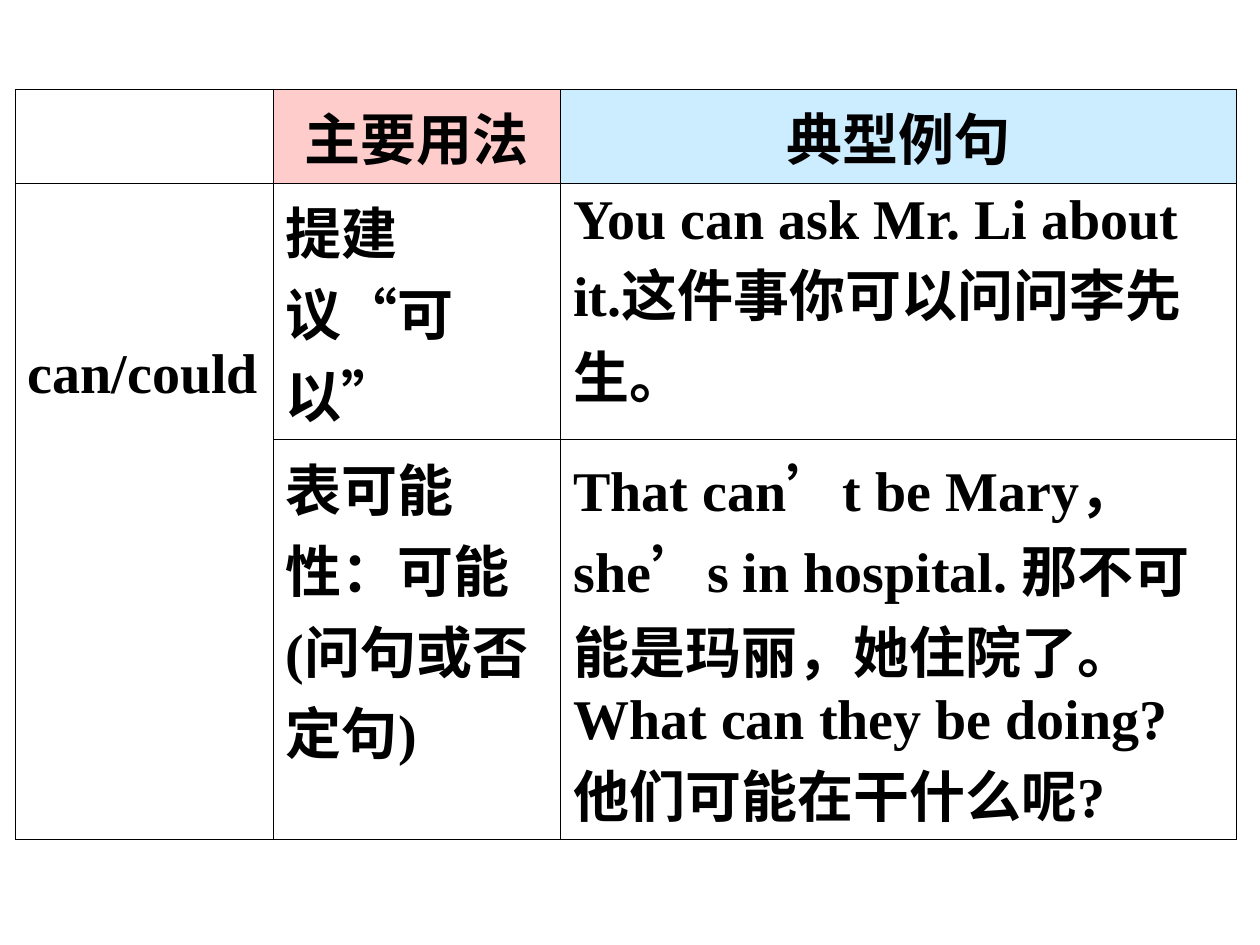
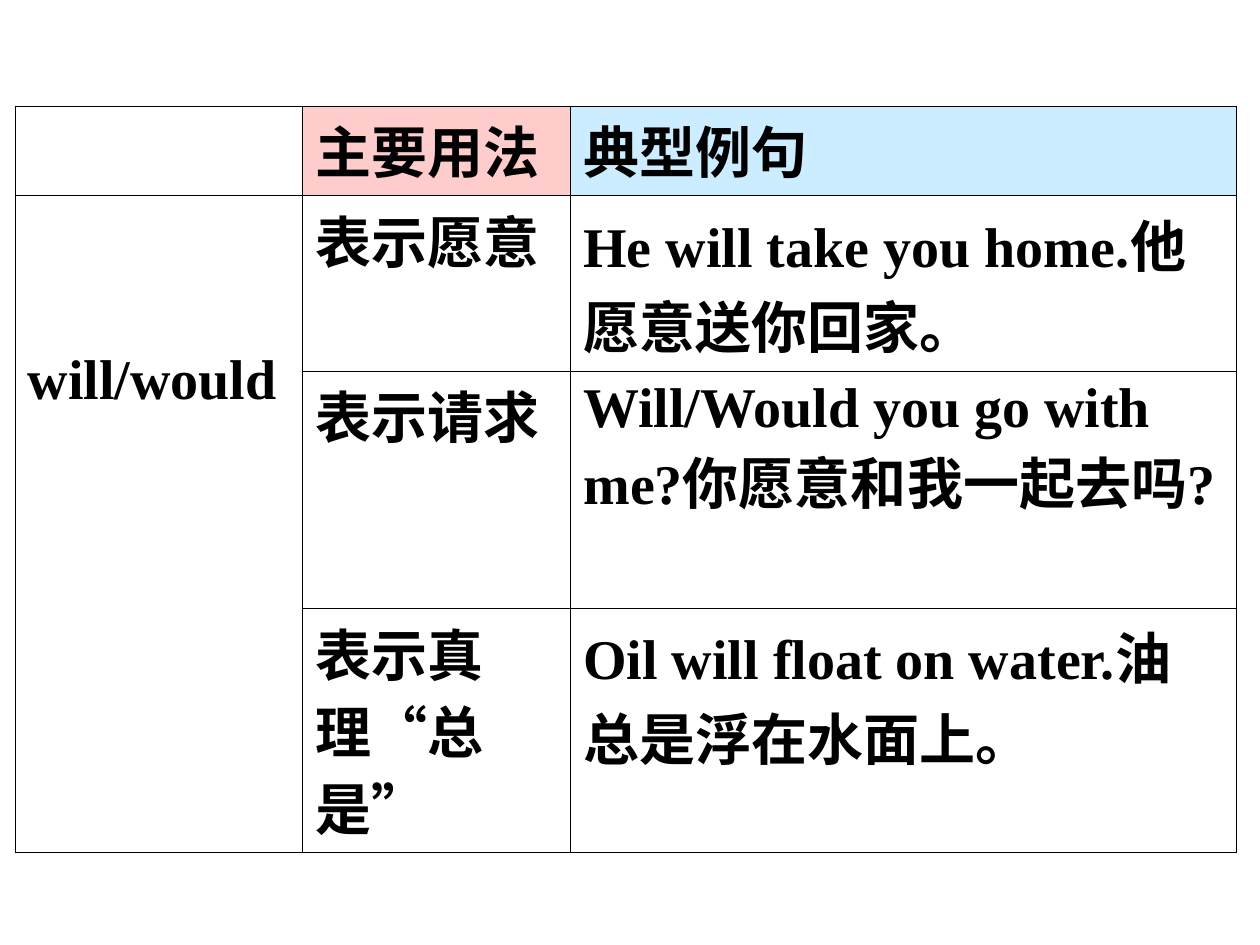
from dataclasses import dataclass

from lxml.etree import SubElement
from pptx import Presentation
from pptx.dml.color import RGBColor as Color
from pptx.enum.text import PP_ALIGN as Align
from pptx.oxml.ns import qn
from pptx.util import Inches, Pt


@dataclass(frozen=True)
class Theme:
    font: str = "Times New Roman"
    text_size: int = 32
    text: str = "000000"
    border: str = "000000"
    border_width: float = 0.45
    usage_fill: str = "FFCCCC"
    example_fill: str = "CCECFF"


theme = Theme()
HEADINGS = ["", "主要用法", "典型例句"]
HEADING_FILLS = [None, theme.usage_fill, theme.example_fill]
TABLE_LEFT = 0.12

# One entry per slide: a modal verb with its usages and example sentences
verb_tables = [
    {
        "verb": "can/could",
        "top": 0.71,
        "verb_offset": 1.27,
        "columns": [2.05, 2.28, 5.36],
        "rows": [0.7, 1.7, 2.77],
        "heading_align": Align.CENTER,
        "label_spacing": 1.0,
        "usages": [
            ("提建议“可以”", "You can ask Mr. Li about it.这件事你可以问问李先生。"),
            (
                "表可能性：可能(问句或否定句)",
                "That can’t be Mary，she’s in hospital. 那不可能是玛丽，她住院了。\n"
                "What can they be doing? 他们可能在干什么呢?",
            ),
        ],
    },
    {
        "verb": "will/would",
        "top": 0.84,
        "verb_offset": 1.24,
        "columns": [2.28, 2.13, 5.28],
        "rows": [0.64, 1.17, 1.17, 1.62],
        "heading_align": Align.LEFT,
        "label_spacing": 0.95,
        "usages": [
            ("表示愿意", "He will take you home.他愿意送你回家。"),
            ("表示请求", "Will/Would you go with me?你愿意和我一起去吗?"),
            ("表示真理“总是”", "Oil will float on water.油总是浮在水面上。"),
        ],
    },
]


def frame_cell(cell, fill=None):
    """Draw thin borders round a cell and set its fill."""
    properties = cell._tc.get_or_add_tcPr()
    for side in ("a:lnL", "a:lnR", "a:lnT", "a:lnB"):
        line = SubElement(properties, qn(side), w=str(Pt(theme.border_width)))
        solid = SubElement(line, qn("a:solidFill"))
        SubElement(solid, qn("a:srgbClr"), val=theme.border)
    if fill:
        cell.fill.solid()
        cell.fill.fore_color.rgb = Color.from_string(fill)
    else:
        cell.fill.background()


def write_cell(cell, text, spacing, align=Align.LEFT):
    """Write bold text in a cell, one paragraph per line."""
    cell.text_frame.text = text
    for paragraph in cell.text_frame.paragraphs:
        paragraph.alignment = align
        paragraph.line_spacing = spacing
        # Keep punctuation inside the cell margins
        paragraph._p.get_or_add_pPr().set("hangingPunct", "0")
        for run in paragraph.runs:
            run.font.name = theme.font
            run.font.size = Pt(theme.text_size)
            run.font.bold = True
            run.font.color.rgb = Color.from_string(theme.text)


presentation = Presentation()
presentation.slide_width = Inches(10)
presentation.slide_height = Inches(7.5)
blank_layout = presentation.slide_layouts[6]

for entry in verb_tables:
    slide = presentation.slides.add_slide(blank_layout)
    columns, rows = entry["columns"], entry["rows"]
    spacing = entry["label_spacing"]

    # Table grid
    table = slide.shapes.add_table(
        len(rows), len(columns), Inches(TABLE_LEFT), Inches(entry["top"]),
        Inches(sum(columns)), Inches(sum(rows)),
    ).table
    table.first_row = False
    table.horz_banding = False
    for column, width in zip(table.columns, columns):
        column.width = Inches(width)
    for row, height in zip(table.rows, rows):
        row.height = Inches(height)
    for row_index in range(len(rows)):
        for column_index, heading_fill in enumerate(HEADING_FILLS):
            frame_cell(table.cell(row_index, column_index),
                       heading_fill if row_index == 0 else None)

    # Heading row
    for column_index, heading in enumerate(HEADINGS):
        write_cell(table.cell(0, column_index), heading, spacing, entry["heading_align"])

    # Verb, spanning all its usages
    verb_cell = table.cell(1, 0)
    verb_cell.merge(table.cell(len(rows) - 1, 0))
    verb_cell.margin_top = Inches(entry["verb_offset"])
    write_cell(verb_cell, entry["verb"], spacing)

    # Usages and examples
    for row_index, (usage, example) in enumerate(entry["usages"], start=1):
        write_cell(table.cell(row_index, 1), usage, spacing)
        write_cell(table.cell(row_index, 2), example, 1.0)

presentation.save("out.pptx")
